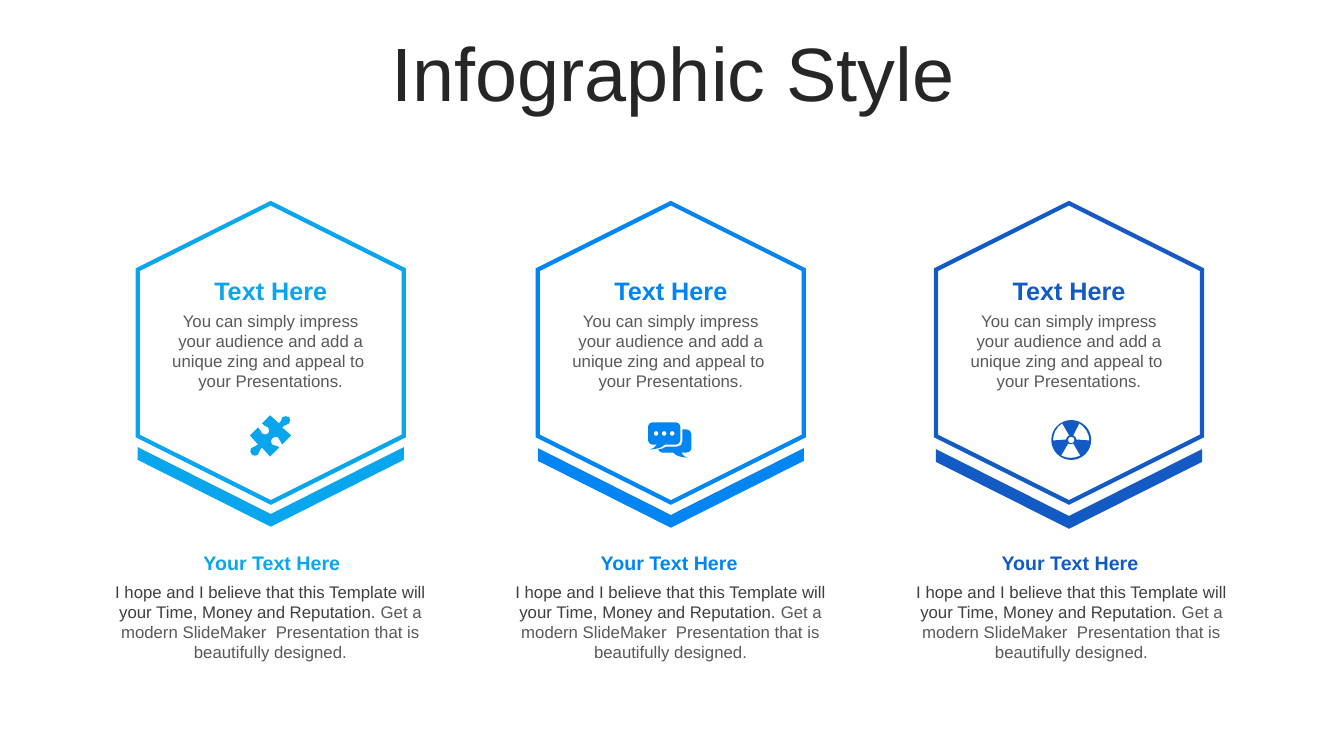
from dataclasses import dataclass

from lxml import etree
from pptx import Presentation
from pptx import util as u
from pptx.dml.color import RGBColor
from pptx.enum import shapes, text
from pptx.oxml.ns import qn


@dataclass(frozen=True)
class Theme:
    font: str = "Arial"
    title_color: str = "262626"
    strong: str = "404040"
    soft: str = "595959"
    accents: tuple = ("0AA6ED", "0085F2", "125AC4")
    title_size: int = 54
    heading_size: int = 18
    caption_size: int = 14
    body_size: int = 12
    outline: int = 3


@dataclass(frozen=True)
class Column:
    centre: float
    heading_centre: float
    caption_centre: float
    icon_centre: tuple
    icon: list


THEME = Theme()
ICON_UNIT = 0.72
PUZZLE = """M 39 2 C 40 3 40 6 39 8 C 37 10 35 9 32 12 L 41 20 L 32 29
C 29 27 31 24 28 22 C 26 21 24 21 22 23 C 21 24 20 27 22 29 C 25 31 26 29 29 32
L 20 41 L 12 32 C 9 35 10 36 8 39 C 6 41 3 40 2 39 C 0 37 0 35 1 33
C 3 30 6 32 8 29 L 0 20 L 8 12 C 11 14 10 16 12 18 C 14 20 17 19 18 18
C 19 17 20 14 18 12 C 15 10 14 11 12 8 L 20 0 L 29 8 C 32 6 30 5 32 2
C 34 0 37 1 39 2"""
FRONT_BUBBLE = """M 4 0 L 28 0 C 30 0 32 2 32 4 L 32 18 C 32 20 30 22 28 22
L 17 22 C 12 26 10 26 2 27 C 6 25 7 25 9 22 L 4 22 C 2 22 0 20 0 18
L 0 4 C 0 2 2 0 4 0"""
BACK_BUBBLE = """M 34 7 L 38 7 C 41 7 43 9 43 12 L 43 26 C 43 28 41 30 38 30
L 33 30 C 34 31 34 33 39 35 C 31 34 29 34 25 30 L 14 30 C 13 30 11 29 10 27
C 13 27 16 25 18 24 L 29 24 C 32 24 34 22 34 19 L 34 7"""
WEDGES = [
    "M 17 23 L 10 35 C 16 38 23 38 29 35 L 22 23 C 21 24 18 24 17 23",
    "M 28 3 L 22 15 C 24 16 25 17 25 19 L 38 20 C 38 13 34 7 28 3",
    "M 11 3 C 5 7 2 13 2 20 L 15 19 C 15 17 16 16 18 15 L 11 3",
]


def ring(x, y, radius):
    k = 0.55 * radius
    left, right, top, bottom = x - radius, x + radius, y - radius, y + radius
    return (f"M {x} {top} C {x + k} {top} {right} {y - k} {right} {y} "
            f"C {right} {y + k} {x + k} {bottom} {x} {bottom} "
            f"C {x - k} {bottom} {left} {y + k} {left} {y} "
            f"C {left} {y - k} {x - k} {top} {x} {top}")


def read_outline(outline):
    tokens = iter(outline.split())
    commands, points = [], []
    for command in tokens:
        commands.append(command)
        for _ in range(3 if command == "C" else 1):
            points.append((float(next(tokens)), float(next(tokens))))
    return commands, points


def bend(shape, commands):
    outline = shape.element.find(".//" + qn("a:path"))
    lines = iter(outline.findall(qn("a:lnTo")))
    for command in commands:
        if command == "L":
            next(lines)
        elif command == "C":
            controls = [next(lines) for _ in range(3)]
            curve = outline.makeelement(qn("a:cubicBezTo"))
            controls[0].addprevious(curve)
            for control in controls:
                curve.append(control[0])
                outline.remove(control)


def paint(shape, fill=None, line=None):
    shape.shadow.inherit = False
    if fill:
        shape.fill.solid()
        shape.fill.fore_color.rgb = RGBColor.from_string(fill)
    else:
        shape.fill.background()
    if line:
        shape.line.color.rgb = RGBColor.from_string(line)
        shape.line.width = u.Pt(THEME.outline)
        outline = shape.element.spPr.find(qn("a:ln"))
        etree.SubElement(outline, qn("a:miter")).set("lim", "800000")
    else:
        shape.line.fill.background()


def write(paragraph, words, size, color, bold=False):
    run = paragraph.add_run()
    run.text = words
    run.font.name = THEME.font
    run.font.size = u.Pt(size)
    run.font.bold = bold
    run.font.color.rgb = RGBColor.from_string(color)
    paragraph.alignment = text.PP_ALIGN.CENTER


def add_label(slide, centre, top, width, height, pieces, size, bold=False):
    box = slide.shapes.add_textbox(u.Pt(centre - width / 2), u.Pt(top),
                                   u.Pt(width), u.Pt(height))
    box.text_frame.word_wrap = True
    box.text_frame.auto_size = text.MSO_AUTO_SIZE.SHAPE_TO_FIT_TEXT
    for words, color in pieces:
        write(box.text_frame.paragraphs[0], words, size, color, bold=bold)


def add_turned(slide, preset, centre, middle, length, breadth, rotation):
    shape = slide.shapes.add_shape(preset, u.Pt(centre - length / 2),
                                   u.Pt(middle - breadth / 2),
                                   u.Pt(length), u.Pt(breadth))
    shape.rotation = rotation
    return shape


def add_icon(slide, outlines, centre, color):
    contours = [read_outline(outline) for outline in outlines]
    every_point = [point for _, points in contours for point in points]
    middle = [(min(values) + max(values)) / 2 for values in zip(*every_point)]
    builder = None
    for _, contour in contours:
        points = [tuple(u.Pt(centre[axis] + (point[axis] - middle[axis]) * ICON_UNIT)
                        for axis in (0, 1)) for point in contour]
        if builder is None:
            builder = slide.shapes.build_freeform(*points[0], scale=1.0)
        else:
            builder.move_to(*points[0])
        builder.add_line_segments(points[1:], close=True)
    icon = builder.convert_to_shape()
    bend(icon, [command for commands, _ in contours for command in commands])
    paint(icon, fill=color)


def add_title(slide, left, top, width, height):
    title = slide.shapes.title
    title.left, title.top = u.Pt(left), u.Pt(top)
    title.width, title.height = u.Pt(width), u.Pt(height)
    frame = title.text_frame
    frame.auto_size = text.MSO_AUTO_SIZE.NONE
    frame.vertical_anchor = text.MSO_ANCHOR.MIDDLE
    paragraph = frame.paragraphs[0]
    paragraph.line_spacing = 0.9
    paragraph.space_before = u.Pt(10)
    write(paragraph, "Infographic Style", THEME.title_size, THEME.title_color)


def add_badge(slide, column, top, drop, color):
    hexagon = add_turned(slide, shapes.MSO_SHAPE.HEXAGON, column.centre,
                         top + 106.9, 213.8, 190.1, 270)
    paint(hexagon, line=color)
    chevron = add_turned(slide, shapes.MSO_SHAPE.CHEVRON, column.centre,
                         top + 202.7 + drop, 56.9, 190.1, 90)
    chevron.adjustments[0] = 0.84
    paint(chevron, fill=color)
    add_label(slide, column.centre, top + 47.9, 164.2, 28.8,
              [("Text Here", color)], THEME.heading_size, bold=True)
    add_label(slide, column.centre, top + 73.1, 164.2, 65.5,
              [("You can simply impress your audience and add a unique zing "
                "and appeal to  your Presentations.", THEME.soft)], THEME.body_size)
    add_icon(slide, column.icon, column.icon_centre, color)


def add_caption(slide, column, top, color):
    add_label(slide, column.heading_centre, top, 248.4, 24.5,
              [("Your Text Here", color)], THEME.caption_size, bold=True)
    add_label(slide, column.caption_centre, top + 21.6, 250.6, 65.5,
              [("I hope and I believe that this Template will your Time, "
                "Money and Reputation.", THEME.strong),
               (" Get a modern SlideMaker  Presentation that is beautifully "
                "designed.", THEME.soft)], THEME.body_size)


def main():
    presentation = Presentation()
    presentation.slide_width, presentation.slide_height = u.Pt(960), u.Pt(540)
    slide = presentation.slides.add_slide(presentation.slide_layouts[5])
    add_title(slide, 25.2, 26.6, 911.5, 56.9)
    chat = [FRONT_BUBBLE, BACK_BUBBLE] + [ring(x, 11, 2.4) for x in (8, 16, 24)]
    radiation = [ring(20, 19.5, 19.8), ring(20, 19.5, 3.3)] + WEDGES
    columns = [
        Column(193.4, 194.2, 193.2, (193.3, 311.4), [PUZZLE]),
        Column(479.2, 478, 479, (478.4, 314.3), chat),
        Column(763.6, 764.3, 765.4, (765.2, 314.3), radiation),
    ]
    for index, (column, color) in enumerate(zip(columns, THEME.accents)):
        add_badge(slide, column, 145.1, 0.72 * index, color)
        add_caption(slide, column, 390.2, color)
    presentation.save("out.pptx")


if __name__ == "__main__":
    main()
